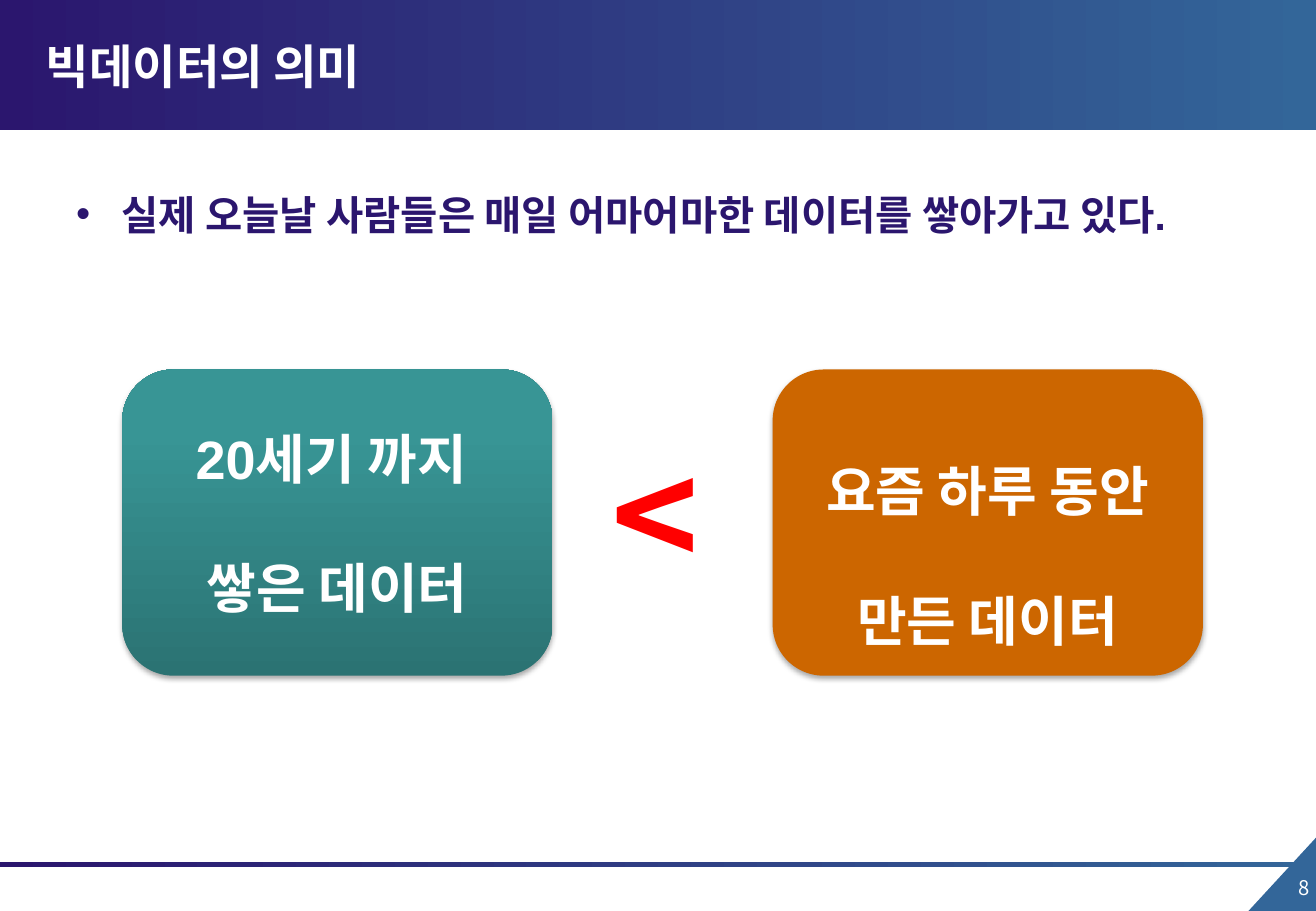
import lxml.etree
import pptx
import pptx.dml.color
import pptx.enum.shapes
import pptx.enum.text
import pptx.oxml
import pptx.oxml.ns
import pptx.util

Pt = pptx.util.Pt
SHAPES = pptx.enum.shapes.MSO_SHAPE
ALIGN = pptx.enum.text.PP_ALIGN
ANCHOR = pptx.enum.text.MSO_ANCHOR
qn = pptx.oxml.ns.qn

# Content
TITLE = "빅데이터의 의미"
STATEMENT = "실제 오늘날 사람들은 매일 어마어마한 데이터를 쌓아가고 있다."
SIGN = "<"
PAGE_NUMBER = "8"
THEME = {
    "korean": "Noto Sans CJK KR", "latin": "Arial",
    "navy": "2B166E", "blue": "336699", "white": "FFFFFF",
    "orange": "CC6600", "red": "FF0000",
    "title": 28, "statement": 24, "card": 32, "sign": 88, "page": 12,
}
BAND = [(0, THEME["navy"]), (100, THEME["blue"])]
TEAL = [(0, "2B7373"), (80, "389595"), (100, "379898")]
# Each card: fill, then its lines as (text, line spacing)
CARDS = [
    (TEAL, [("20세기 까지 ", 1), ("쌓은 데이터", 2)]),
    (THEME["orange"], [("요즘 하루 동안", 2), ("만든 데이터", 2)]),
]

# Layout
WIDTH, HEIGHT = 780, 540
CARD_LEFT, CARD_TOP, CARD_WIDTH, CARD_HEIGHT = 72.5, 219, 255, 181.5
CARD_STEP = 385.5


def rgb(value):
    return pptx.dml.color.RGBColor.from_string(value)


def add_run(paragraph, text, size, color, font, bold=True):
    run = paragraph.add_run()
    run.text = text
    run.font.size = Pt(size)
    run.font.bold = bold
    run.font.color.rgb = rgb(color)
    run.font.name = font
    east_asian = lxml.etree.Element(qn("a:ea"), typeface=THEME["korean"])
    run.font._element.find(qn("a:latin")).addnext(east_asian)


def add_filled(slide, kind, box, fill, angle=0):
    """Add a borderless shape; fill is one colour or a list of gradient stops."""
    shape = slide.shapes.add_shape(kind, *map(Pt, box))
    shape.shadow.inherit = False
    shape.line.fill.background()
    if isinstance(fill, str):
        shape.fill.solid()
        shape.fill.fore_color.rgb = rgb(fill)
        return shape
    shape.fill.gradient()
    shape.fill.gradient_angle = angle
    stops = next(shape._element.iter(qn("a:gsLst")))
    for stop in list(stops):
        stops.remove(stop)
    for position, color in fill:
        stop = lxml.etree.SubElement(stops, qn("a:gs"), pos=str(position * 1000))
        lxml.etree.SubElement(stop, qn("a:srgbClr"), val=color)
    return shape


def add_shadow(shape):
    effects = shape._element.spPr.find(qn("a:effectLst"))
    shadow = lxml.etree.SubElement(
        effects, qn("a:outerShdw"), blurRad=str(Pt(3.1)), dist=str(Pt(1.8)),
        dir="5400000", rotWithShape="0")
    color = lxml.etree.SubElement(shadow, qn("a:srgbClr"), val="000000")
    lxml.etree.SubElement(color, qn("a:alpha"), val="35000")


def add_text(slide, box, wrap=True):
    frame = slide.shapes.add_textbox(*map(Pt, box)).text_frame
    frame.word_wrap = wrap
    return frame.paragraphs[0]


def add_bullet(paragraph):
    properties = paragraph._p.get_or_add_pPr()
    properties.set("marL", str(Pt(27)))
    properties.set("indent", str(-Pt(27)))
    lxml.etree.SubElement(properties, qn("a:buFont"), typeface=THEME["latin"])
    lxml.etree.SubElement(properties, qn("a:buChar"), char="•")


def main():
    presentation = pptx.Presentation()
    presentation.slide_width, presentation.slide_height = Pt(WIDTH), Pt(HEIGHT)
    slide = presentation.slides.add_slide(presentation.slide_layouts[5])

    # Page corner, footer rule and header band
    corner = add_filled(slide, SHAPES.RIGHT_TRIANGLE, (738, 497.5, 44.5, 41),
                        THEME["blue"])
    corner.rotation = 270
    add_filled(slide, SHAPES.RECTANGLE, (0, 511, WIDTH, 3), BAND)
    add_filled(slide, SHAPES.RECTANGLE, (0, 0, WIDTH, 77), BAND)
    page = add_text(slide, (739.5, 515.5, 44, 29.5))
    page.alignment = ALIGN.RIGHT
    add_run(page, PAGE_NUMBER, THEME["page"], THEME["white"], THEME["korean"], False)

    # Title, raised above the band
    title = slide.shapes.title
    slide.shapes._spTree.append(title._element)
    title.left, title.top, title.width, title.height = map(Pt, (20, 16.5, 585, 44.5))
    title.text_frame.auto_size = pptx.enum.text.MSO_AUTO_SIZE.NONE
    title.text_frame.vertical_anchor = ANCHOR.MIDDLE
    heading = title.text_frame.paragraphs[0]
    heading.alignment = ALIGN.LEFT
    add_run(heading, TITLE, THEME["title"], THEME["white"], THEME["korean"])

    # Statement
    statement = add_text(slide, (38, 94.5, 738, 45.5))
    add_bullet(statement)
    statement.line_spacing = 1.5
    add_run(statement, STATEMENT, THEME["statement"], THEME["navy"], THEME["latin"])

    # Compared cards
    for index, (fill, lines) in enumerate(CARDS):
        left = CARD_LEFT + index * CARD_STEP
        card = add_filled(slide, SHAPES.ROUNDED_RECTANGLE,
                          (left, CARD_TOP, CARD_WIDTH, CARD_HEIGHT), fill, 90)
        add_shadow(card)
        frame = card.text_frame
        frame.word_wrap = True
        frame.vertical_anchor = ANCHOR.MIDDLE
        for number, (text, spacing) in enumerate(lines):
            paragraph = frame.add_paragraph() if number else frame.paragraphs[0]
            paragraph.alignment = ALIGN.CENTER
            paragraph.line_spacing = float(spacing)
            add_run(paragraph, text, THEME["card"], THEME["white"], THEME["latin"])

    # Comparison sign
    sign = add_text(slide, (355.5, 247.5, 69, 114), wrap=False)
    add_run(sign, SIGN, THEME["sign"], THEME["red"], THEME["korean"])

    presentation.save("out.pptx")


if __name__ == "__main__":
    main()
